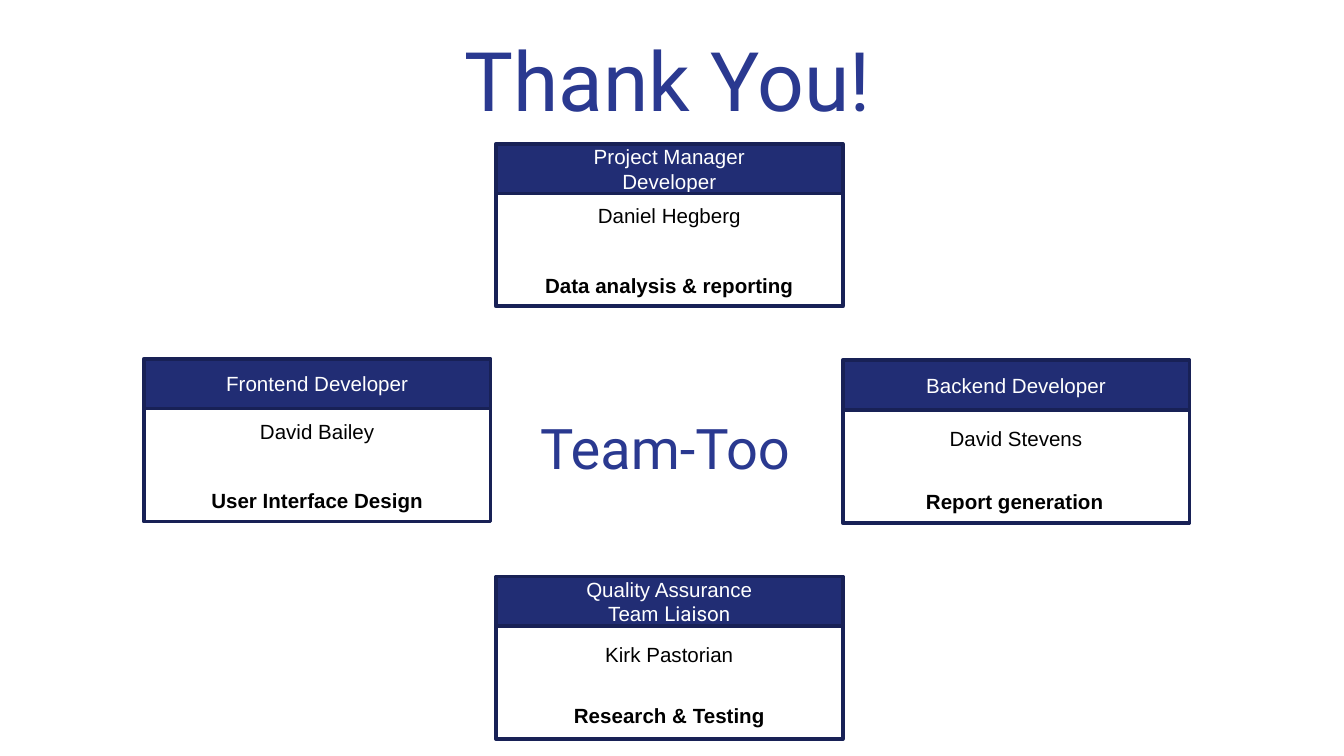
from pptx import Presentation
from pptx.dml.color import RGBColor
from pptx.enum.shapes import MSO_SHAPE
from pptx.enum.text import MSO_ANCHOR, PP_ALIGN
from pptx.util import Inches, Pt

RECT = MSO_SHAPE.RECTANGLE
LEFT, CENTER = PP_ALIGN.LEFT, PP_ALIGN.CENTER
TOP, MIDDLE = MSO_ANCHOR.TOP, MSO_ANCHOR.MIDDLE

COLORS = {"title": "2A3990", "head": "212D74", "edge": "182156",
          "white": "FFFFFF", "black": "000000"}
SANS, ROBOTO = "Arial", "Roboto"

TITLES = [
    ("Thank You!", (2.72, 0.12, 4.5, 0.66), 44, CENTER),
    ("Team-Too", (3.92, 2.98, 2.17, 0.66), 30, LEFT),
]
CARDS = [
    {"at": (3.69, 1.07), "role": [[("Project Manager", SANS)], [("Developer", SANS)]],
     "name": "Daniel Hegberg", "drop": (0, 0.39),
     "duty": "Data analysis & reporting", "low": (0, 0.91)},
    {"at": (1.07, 2.67), "role": [[("Frontend Developer", SANS)]],
     "name": "David Bailey", "drop": (0, 0.4),
     "duty": "User Interface Design", "low": (0, 0.91)},
    {"at": (6.27, 2.68), "role": [[("Backend Developer", SANS)]],
     "name": "David Stevens", "drop": (0, 0.44),
     "duty": "Report generation", "low": (-0.01, 0.91)},
    {"at": (3.69, 4.29),
     "role": [[("Quality Assurance", SANS)], [("Team ", SANS), ("Liaison", ROBOTO)]],
     "name": "Kirk Pastorian", "drop": (0, 0.44),
     "duty": "Research & Testing", "low": (0, 0.89)},
]
WIDTH, HEAD, BODY, ROW = 2.58, 0.37, 0.84, 0.29


def write(shape, lines, size=11, color="black", bold=False, align=CENTER,
          anchor=TOP, pad=0.05):
    frame = shape.text_frame
    frame.word_wrap = True
    frame.vertical_anchor = anchor
    frame.margin_left = frame.margin_right = Inches(0.1)
    frame.margin_top = frame.margin_bottom = Inches(pad)
    for i, line in enumerate(lines):
        para = frame.add_paragraph() if i else frame.paragraphs[0]
        para.alignment = align
        for text, face in line:
            run = para.add_run()
            run.text = text
            font = run.font
            font.name, font.size, font.bold = face, Pt(size), bold
            font.color.rgb = RGBColor.from_string(COLORS[color])


def box(slide, *area):
    return slide.shapes.add_textbox(*map(Inches, area))


def panel(slide, fill, *area):
    shape = slide.shapes.add_shape(RECT, *map(Inches, area))
    shape.shadow.inherit = False
    shape.fill.solid()
    shape.fill.fore_color.rgb = RGBColor.from_string(COLORS[fill])
    shape.line.color.rgb = RGBColor.from_string(COLORS["edge"])
    shape.line.width = Pt(2)
    return shape


def card(slide, data):
    x, y = data["at"]
    head = panel(slide, "head", x, y, WIDTH, HEAD)
    write(head, data["role"], color="white", anchor=MIDDLE, pad=0.1)
    panel(slide, "white", x, y + HEAD, WIDTH, BODY)
    for text, (dx, dy), bold in ((data["duty"], data["low"], True),
                                 (data["name"], data["drop"], False)):
        write(box(slide, x + dx, y + dy, WIDTH, ROW), [[(text, SANS)]], bold=bold)


def main():
    deck = Presentation()
    deck.slide_width = Inches(10)
    deck.slide_height = deck.slide_width * 9 // 16
    slide = deck.slides.add_slide(deck.slide_layouts[6])
    for text, area, size, align in TITLES:
        write(box(slide, *area), [[(text, ROBOTO)]], size=size,
              color="title", align=align, pad=0.1)
    for data in CARDS:
        card(slide, data)
    deck.save("out.pptx")


if __name__ == "__main__":
    main()
